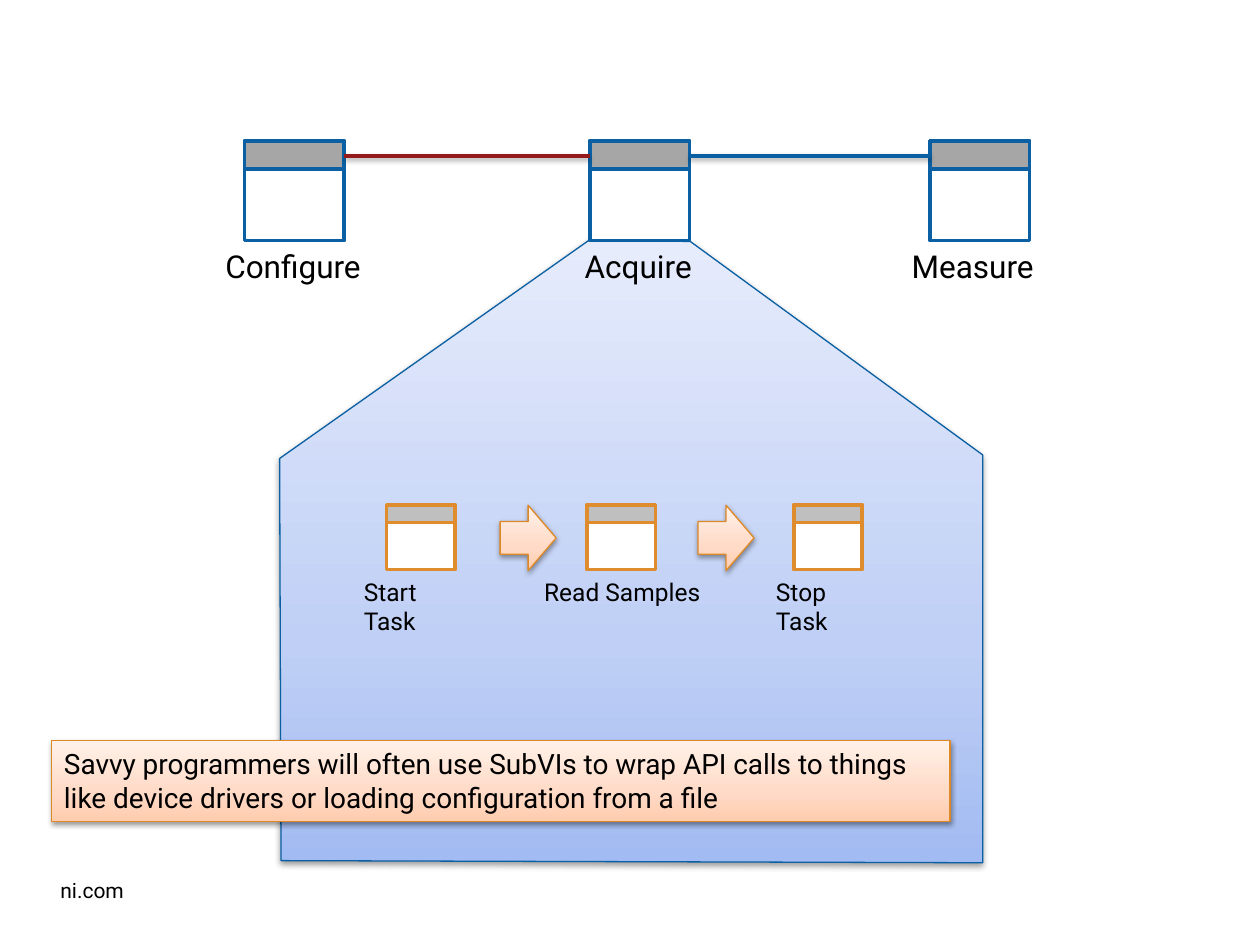
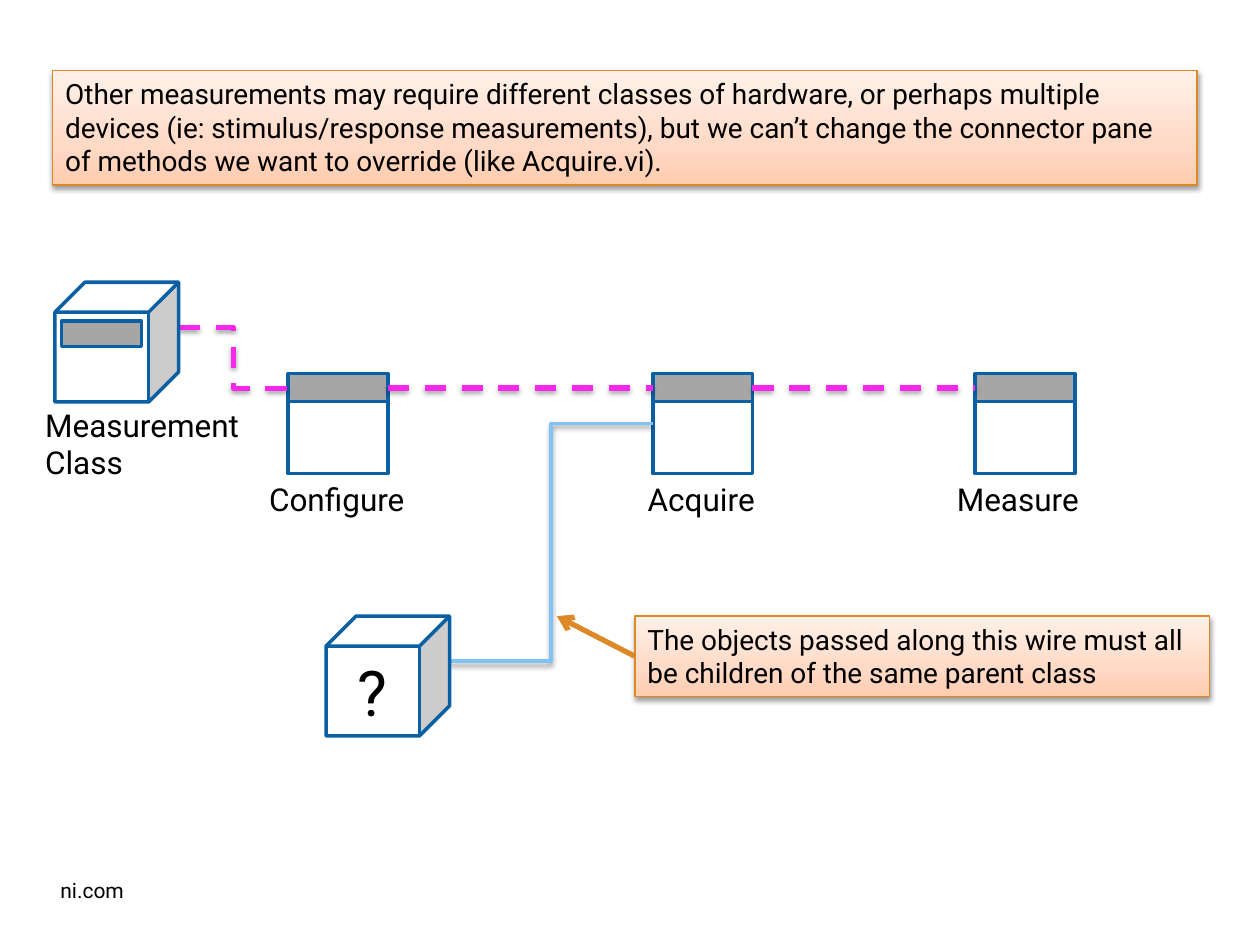
from copy import deepcopy
from lxml.etree import SubElement
from pptx import Presentation
from pptx.dml.color import RGBColor
from pptx.enum.dml import MSO_LINE
from pptx.enum.shapes import MSO_CONNECTOR, MSO_SHAPE
from pptx.enum.text import MSO_ANCHOR, MSO_AUTO_SIZE, PP_ALIGN
from pptx.oxml.ns import qn
from pptx.util import Pt

FONT = "Roboto"
BLACK, WHITE = "000000", "FFFFFF"
BLUE, SKY, RED, PINK = "0A60A3", "80C3F7", "93191A", "F527ED"
AMBER, ORANGE = "DD8928", "DE8C2D"
GRAY, SILVER = "A6A6A6", "BFBFBF"
PEACH = ("FFCCAE", "FFDAC6", "FFF1E9")
ICE = ("A2BBF2", "BFCFF5", "E6ECFC")
STOPS = (0, 0.35, 1)

TILE, HEAD = 57, 16
CUBE = (70.6, 68.4)
STAGES = (("Configure", -18, 93.6), ("Acquire", -10, 75.6), ("Measure", -17.5, 86.4))
STEPS = (("Start Task", -20.2, 74.2, True), ("Read Samples", -31.7, 104.4, False),
         ("Stop Task", -17.3, 73.4, True))


def paint(code):
    return RGBColor.from_string(code)


class Deck:
    def __init__(self):
        self.show = Presentation()
        self.show.slide_width, self.show.slide_height = Pt(720), Pt(540)

    def page(self):
        slide = self.show.slides.add_slide(self.show.slide_layouts[6])
        self.shapes = slide.shapes
        self.label("ni.com", 27.4, 498.2, 51.1, 21.6, 12)

    def words(self, frame, text, size, align=PP_ALIGN.LEFT):
        frame.text = text
        line = frame.paragraphs[0]
        line.alignment = align
        font = line.runs[0].font
        font.name, font.size = FONT, Pt(size)
        font.color.rgb = paint(BLACK)

    def label(self, text, x, y, wide, high, size, wrap=False):
        frame = self.shapes.add_textbox(Pt(x), Pt(y), Pt(wide), Pt(high)).text_frame
        frame.word_wrap = wrap
        frame.auto_size = MSO_AUTO_SIZE.SHAPE_TO_FIT_TEXT
        self.words(frame, text, size)

    def shade(self, item):
        props = item._element.spPr
        effect = props.find(qn("a:effectLst"))
        drop = SubElement(effect, qn("a:outerShdw"), blurRad=str(Pt(3.1)),
                          dist=str(Pt(1.6)), dir="5400000", rotWithShape="0")
        tint = SubElement(drop, qn("a:srgbClr"), val=BLACK)
        SubElement(tint, qn("a:alpha"), val="38000")

    def style(self, shape, fill, edge, width):
        shape.shadow.inherit = False
        shape.line.color.rgb = paint(edge)
        shape.line.width = Pt(width)
        if isinstance(fill, str):
            shape.fill.solid()
            shape.fill.fore_color.rgb = paint(fill)
            return shape
        shape.fill.gradient()
        shape.fill.gradient_angle = 90
        group = shape._element.spPr.find(".//" + qn("a:gsLst"))
        group.append(deepcopy(group[-1]))
        for stop, code, place in zip(shape.fill.gradient_stops, fill, STOPS):
            stop.color.rgb = paint(code)
            stop.position = place
        self.shade(shape)
        return shape

    def block(self, x, y, wide, high, fill, edge, width=2, kind=MSO_SHAPE.RECTANGLE):
        shape = self.shapes.add_shape(kind, Pt(x), Pt(y), Pt(wide), Pt(high))
        return self.style(shape, fill, edge, width)

    def tile(self, x, y, wide, high, head, edge, fill):
        self.block(x, y, wide, high, WHITE, edge)
        self.block(x, y, wide, head, fill, edge)

    def stages(self, spots, y):
        for x, (name, shift, wide) in zip(spots, STAGES):
            self.tile(x, y, TILE, TILE, HEAD, BLUE, GRAY)
            self.label(name, x + shift, y + TILE, wide, 29, 18)

    def steps(self, spots, y):
        for x, (name, shift, wide, wrap) in zip(spots, STEPS):
            self.tile(x, y, 39, 37, 10, ORANGE, SILVER)
            self.label(name, x + shift, y + 37.4, wide, 24.5, 14, wrap)

    def cube(self, x, y):
        return self.block(x, y, *CUBE, WHITE, BLUE, kind=MSO_SHAPE.CUBE)

    def arrow(self, x, y):
        self.block(x, y, 32, 37.4, PEACH, AMBER, 0.75, MSO_SHAPE.RIGHT_ARROW)

    def note(self, text, x, y, wide, high):
        frame = self.block(x, y, wide, high, PEACH, AMBER, 0.75).text_frame
        frame.word_wrap = True
        frame.auto_size = MSO_AUTO_SIZE.SHAPE_TO_FIT_TEXT
        frame.vertical_anchor = MSO_ANCHOR.TOP
        self.words(frame, text, 16)

    def house(self, start, *points):
        form = self.shapes.build_freeform(Pt(start[0]), Pt(start[1]))
        form.add_line_segments([(Pt(x), Pt(y)) for x, y in points], close=True)
        self.style(form.convert_to_shape(), ICE, BLUE, 0.75)

    def wire(self, start, end, code, width=2, kind=MSO_CONNECTOR.STRAIGHT,
             dash=False, tip=False):
        link = self.shapes.add_connector(kind, *map(Pt, start + end))
        link.line.color.rgb = paint(code)
        link.line.width = Pt(width)
        if dash:
            link.line.dash_style = MSO_LINE.DASH
        props = link._element.spPr
        SubElement(props, qn("a:effectLst"))
        if tip:
            SubElement(props.find(qn("a:ln")), qn("a:tailEnd"), type="arrow")
        else:
            self.shade(link)

    def chain(self, spots, y, codes, width, dash=False):
        for left, right, code in zip(spots, spots[1:], codes):
            self.wire((left + TILE, y), (right, y), code, width, dash=dash)


def wrapping(deck):
    deck.page()
    deck.house((561.6, 493), (561.6, 260), (394.5, 138), (337, 137),
               (159.8, 262), (160.6, 491.8))
    spots = (139.7, 337, 531.4)
    deck.stages(spots, 80.6)
    deck.chain(spots, 89.2, (RED, BLUE), 2)
    deck.steps((221, 335.5, 453.6), 288.6)
    for x in (285.8, 398.9):
        deck.arrow(x, 288.7)
    deck.note("Savvy programmers will often use SubVIs to wrap API calls to things "
              "like device drivers or loading configuration from a file",
              29.5, 423.2, 513.4, 46.1)


def classes(deck):
    deck.page()
    spots, level = (164.7, 373, 557.2), 221.8
    deck.stages(spots, 213.6)
    deck.chain(spots, level, (PINK, PINK), 3, dash=True)
    deck.wire((102.2, 187.2), (spots[0], level), PINK, 3, MSO_CONNECTOR.ELBOW, dash=True)
    deck.cube(31.4, 161.3)
    deck.block(35.2, 183.5, 45.6, 14.6, GRAY, BLUE)
    deck.note("Other measurements may require different classes of hardware, or perhaps "
              "multiple devices (ie: stimulus/response measurements), but we can’t change "
              "the connector pane of methods we want to override (like Acquire.vi).",
              30.2, 40.3, 653.8, 65.5)
    deck.label("Measurement Class", 18.7, 228.2, 133.9, 51.8, 18, True)
    deck.wire((257, 377.8), (spots[1], 242), SKY, kind=MSO_CONNECTOR.ELBOW)
    deck.note("The objects passed along this wire must all be children of the same "
              "parent class", 362.9, 352.1, 328.3, 46.1)
    frame = deck.cube(186.3, 352.1).text_frame
    frame.vertical_anchor = MSO_ANCHOR.MIDDLE
    deck.words(frame, "?", 36, PP_ALIGN.CENTER)
    deck.wire((362.9, 375.1), (318.2, 352.1), AMBER, 3, tip=True)


def main():
    deck = Deck()
    wrapping(deck)
    classes(deck)
    deck.show.save("out.pptx")


if __name__ == "__main__":
    main()
